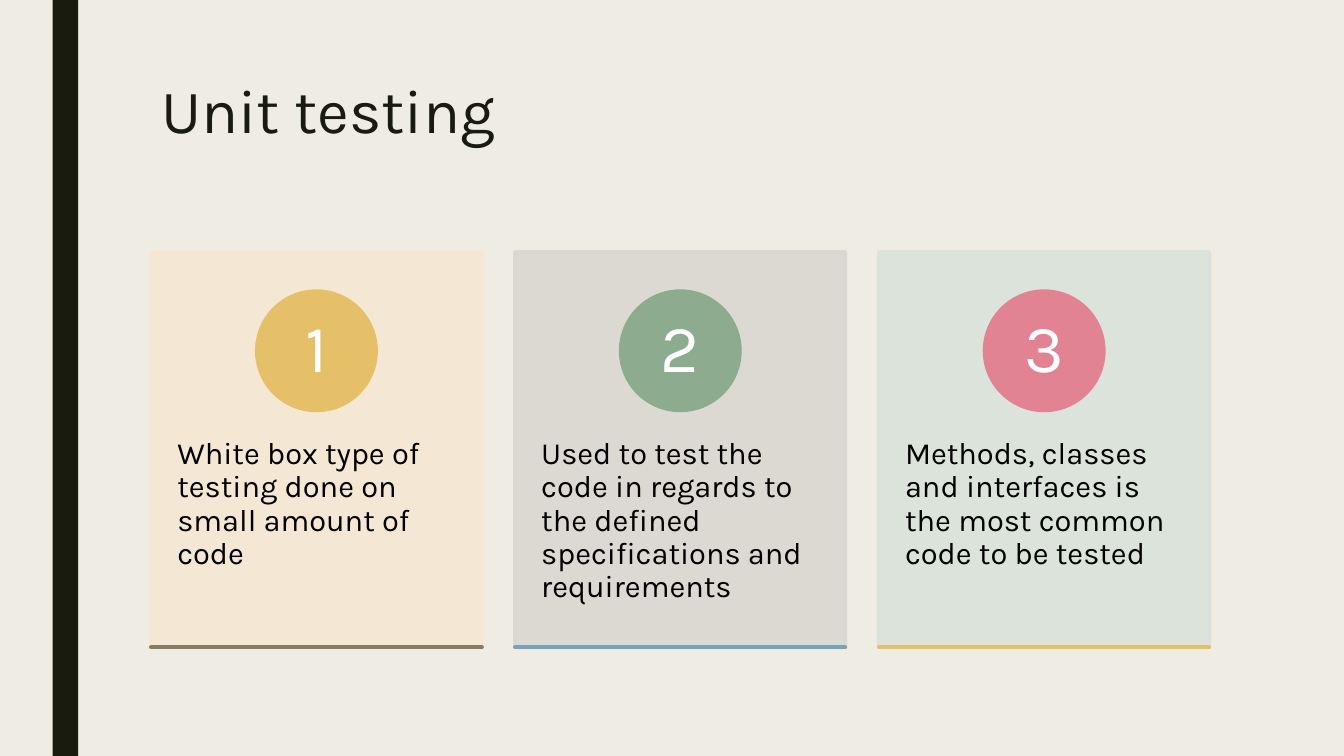
import pptx
import pptx.util
import pptx.dml.color
import pptx.enum.shapes
import pptx.enum.text
import pptx.oxml.ns
import lxml.etree

Cm, Pt = pptx.util.Cm, pptx.util.Pt
RGBColor = pptx.dml.color.RGBColor
MSO_SHAPE = pptx.enum.shapes.MSO_SHAPE
PP_ALIGN = pptx.enum.text.PP_ALIGN
MSO_ANCHOR = pptx.enum.text.MSO_ANCHOR
qn = pptx.oxml.ns.qn

CREAM = RGBColor(0xEF, 0xED, 0xE3)
DARK = RGBColor(0x19, 0x1B, 0x0E)
BLACK = RGBColor(0x00, 0x00, 0x00)
WHITE = RGBColor(0xFF, 0xFF, 0xFF)
SAND = RGBColor(0xF5, 0xE8, 0xD4)
GREY = RGBColor(0xDA, 0xD7, 0xD2)
MINT = RGBColor(0xDB, 0xE2, 0xDB)
GOLD = RGBColor(0xE6, 0xC0, 0x69)
GREEN = RGBColor(0x8D, 0xAB, 0x8E)
PINK = RGBColor(0xE2, 0x83, 0x94)
BROWN = RGBColor(0x89, 0x7B, 0x61)
BLUE = RGBColor(0x77, 0xA2, 0xBB)

prs = pptx.Presentation()
prs.slide_width, prs.slide_height = Cm(33.87), Cm(19.05)
s = prs.slides.add_slide(prs.slide_layouts[6])
s.background.fill.solid()
s.background.fill.fore_color.rgb = CREAM


def add_filled(kind, left, top, width, height, color):
    sp = s.shapes.add_shape(kind, Cm(left), Cm(top), Cm(width), Cm(height))
    sp.shadow.inherit = False
    sp.fill.solid()
    sp.fill.fore_color.rgb = color
    sp.line.color.rgb = color
    sp.line.width = Pt(2.75)
    return sp


def add_text(text, left, top, width, height, size, color, inset_x, inset_y):
    tf = s.shapes.add_textbox(Cm(left), Cm(top), Cm(width), Cm(height)).text_frame
    tf.word_wrap = True
    tf.margin_left = tf.margin_right = Cm(inset_x)
    tf.margin_top = tf.margin_bottom = Cm(inset_y)
    p = tf.paragraphs[0]
    p.text = text
    p.line_spacing = 0.9
    p.font.name, p.font.size, p.font.color.rgb = "Karla", Pt(size), color
    return tf


# Side stripe and title
stripe = add_filled(MSO_SHAPE.RECTANGLE, 1.33, 0, 0.64, 19.05, DARK)
stripe.line.fill.background()
add_text("Unit testing", 3.81, 1.9, 26.67, 4.11, 44, DARK, 0.25, 0.13)

# Three numbered cards
cards = [
    ("White box type of testing done on small amount of code",
     SAND, GOLD, BROWN),
    ("Used to test the code in regards to the defined specifications and requirements",
     GREY, GREEN, BLUE),
    ("Methods, classes and interfaces is the most common code to be tested",
     MINT, PINK, GOLD),
]
CARD_LEFT, CARD_TOP, CARD_W, CARD_H, PITCH = 3.81, 6.35, 8.33, 9.96, 9.17
CIRCLE, NUMBER = 3.0, 2.11
circle_top = 7.34

for i, (text, card_color, circle_color, base_color) in enumerate(cards):
    left = CARD_LEFT + i * PITCH
    middle = left + CARD_W / 2

    # Card, slightly transparent in fill and outline
    card = add_filled(MSO_SHAPE.RECTANGLE, left, CARD_TOP, CARD_W, CARD_H, card_color)
    for clr in card._element.spPr.iter(qn("a:srgbClr")):
        lxml.etree.SubElement(clr, qn("a:alpha"), val="90000")
    add_text(text, left, 10.13, CARD_W, 5.97, 22, BLACK, 0.66, 0.91)

    # Number in its circle
    add_filled(MSO_SHAPE.OVAL, middle - CIRCLE / 2, circle_top, CIRCLE, CIRCLE, circle_color)
    tf = add_text(str(i + 1), middle - NUMBER / 2, circle_top + (CIRCLE - NUMBER) / 2,
                  NUMBER, NUMBER, 48, WHITE, 0.23, 0.03)
    tf.vertical_anchor = MSO_ANCHOR.MIDDLE
    tf.paragraphs[0].alignment = PP_ALIGN.CENTER

    # Coloured base line
    add_filled(MSO_SHAPE.RECTANGLE, left, CARD_TOP + CARD_H, CARD_W, 0, base_color)

prs.save("out.pptx")
